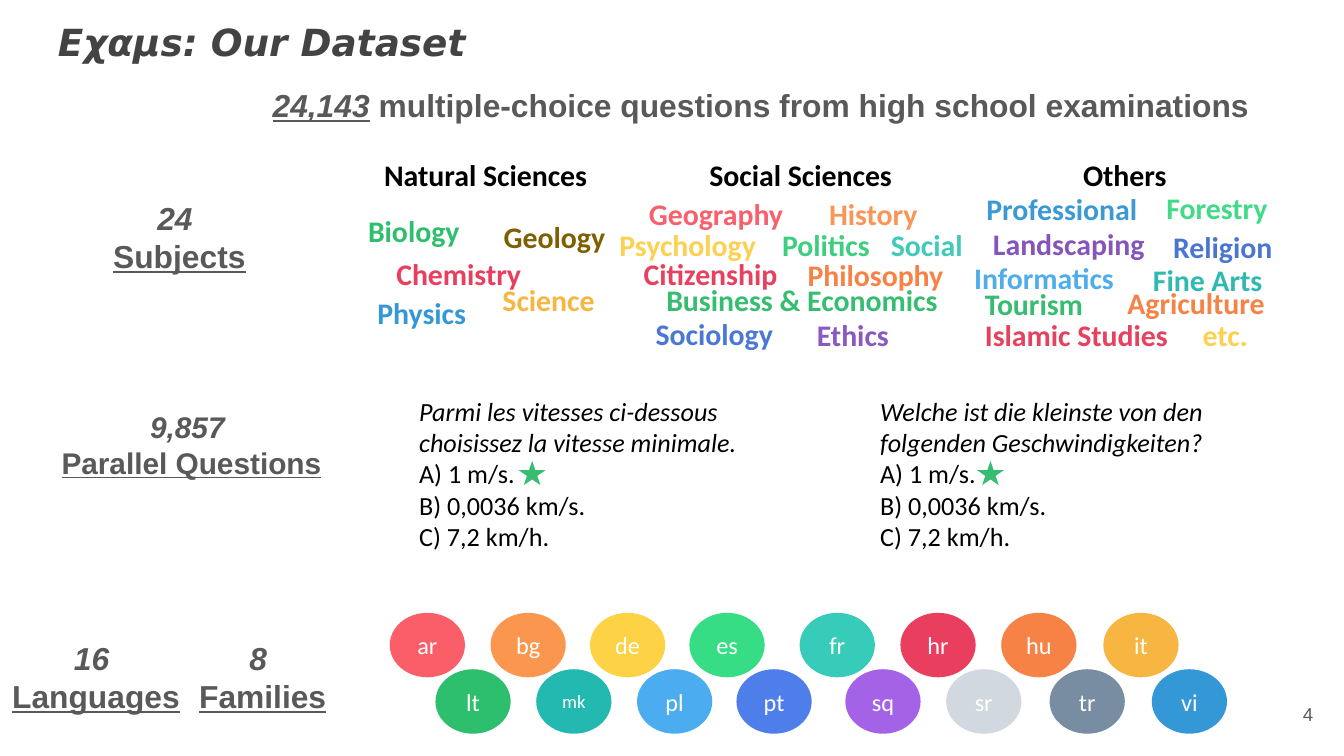
from pptx import Presentation
from pptx.dml.color import RGBColor
from pptx.enum.shapes import MSO_SHAPE
from pptx.enum.text import MSO_ANCHOR, PP_ALIGN
from pptx.util import Pt

SCALE = 9144

BLACK = RGBColor(0x00, 0x00, 0x00)
WHITE = RGBColor(0xFF, 0xFF, 0xFF)
CHARCOAL = RGBColor(0x43, 0x43, 0x43)
GRAY = RGBColor(0x59, 0x59, 0x59)
SILVER = RGBColor(0xD1, 0xD8, 0xE0)
SLATE = RGBColor(0x78, 0x8D, 0xA2)
BROWN = RGBColor(0x7F, 0x60, 0x00)
CRIMSON = RGBColor(0xE9, 0x3E, 0x5D)
ROSE = RGBColor(0xE7, 0x41, 0x5F)
CORAL = RGBColor(0xF8, 0x60, 0x6B)
SALMON = RGBColor(0xFA, 0x5E, 0x68)
PEACH = RGBColor(0xF9, 0x96, 0x56)
APRICOT = RGBColor(0xFB, 0x96, 0x4E)
ORANGE = RGBColor(0xF6, 0x82, 0x46)
AMBER = RGBColor(0xF6, 0xB6, 0x41)
YELLOW = RGBColor(0xFC, 0xD1, 0x52)
GOLD = RGBColor(0xFD, 0xD2, 0x44)
GREEN = RGBColor(0x2D, 0xBE, 0x6E)
EMERALD = RGBColor(0x37, 0xBD, 0x71)
JADE = RGBColor(0x3D, 0xCE, 0x7F)
MINT = RGBColor(0x41, 0xDB, 0x87)
LIME = RGBColor(0x36, 0xDD, 0x84)
TURQUOISE = RGBColor(0x41, 0xCA, 0xBA)
AQUA = RGBColor(0x37, 0xCB, 0xBA)
TEAL = RGBColor(0x2F, 0xB9, 0xB0)
DEEP_TEAL = RGBColor(0x23, 0xB9, 0xB1)
BLUE = RGBColor(0x35, 0x98, 0xD6)
STEEL = RGBColor(0x3B, 0x99, 0xD4)
SKY = RGBColor(0x50, 0xAD, 0xEC)
AZURE = RGBColor(0x4B, 0xAC, 0xEF)
ROYAL = RGBColor(0x4E, 0x7E, 0xE9)
COBALT = RGBColor(0x4B, 0x78, 0xD6)
INDIGO = RGBColor(0x4A, 0x76, 0xD2)
VIOLET = RGBColor(0x89, 0x58, 0xC0)
PURPLE = RGBColor(0x85, 0x55, 0xBA)
ORCHID = RGBColor(0xA4, 0x63, 0xE7)

SUBJECTS = [
    ("Natural Sciences", 276, 112, 187, BLACK),
    ("Social Sciences", 518, 112, 170, BLACK),
    ("Others", 796, 112, 88, BLACK),
    ("Geology", 365, 158, 103, BROWN),
    ("Chemistry", 285, 185, 122, CRIMSON),
    ("Physics", 271, 214, 93, BLUE),
    ("Biology", 264, 153, 95, GREEN),
    ("Science", 364, 205, 95, AMBER),
    ("Politics", 572, 164, 92, JADE),
    ("Ethics", 598, 231, 79, VIOLET),
    ("Citizenship", 469, 185, 130, ROSE),
    ("Geography", 473, 141, 130, CORAL),
    ("History", 607, 141, 92, PEACH),
    ("Philosophy", 591, 186, 131, ORANGE),
    ("Psychology", 451, 164, 132, YELLOW),
    ("Social", 653, 164, 79, TURQUOISE),
    ("Sociology", 478, 230, 116, COBALT),
    ("Business & Economics", 486, 205, 243, EMERALD),
    ("Professional", 724, 137, 144, STEEL),
    ("Forestry", 858, 136, 103, MINT),
    ("Landscaping", 729, 163, 144, PURPLE),
    ("Agriculture", 829, 207, 133, ORANGE),
    ("Tourism", 723, 208, 100, EMERALD),
    ("Fine Arts", 848, 190, 110, TEAL),
    ("Informatics", 715, 188, 135, SKY),
    ("Islamic Studies", 723, 231, 170, ROSE),
    ("Religion", 863, 165, 101, INDIGO),
    (" etc.", 880, 231, 62, YELLOW),
]

LANGUAGE_ROWS = {
    456: [("ar", 290, SALMON), ("bg", 365, APRICOT), ("de", 439, GOLD), ("es", 513, LIME),
          ("fr", 595, AQUA), ("hr", 670, CRIMSON), ("hu", 745, ORANGE), ("it", 821, AMBER)],
    498: [("lt", 324, GREEN), ("mk", 399, DEEP_TEAL), ("pl", 474, AZURE), ("pt", 548, ROYAL),
          ("sq", 629, ORCHID), ("sr", 704, SILVER), ("tr", 781, SLATE), ("vi", 857, BLUE)],
}

STATISTICS = [
    ("24 ", "Subjects", (11, 138, 245, 79), 17, 10),
    ("9,857 ", "Parallel Questions", (20, 294, 245, 90), 16, 10),
    ("16 ", "Languages", (-4, 470, 151, 55), 17, 5),
    ("8 ", "Families", (120, 470, 151, 55), 17, 5),
]

ANSWERS = ["A) 1 m/s.", "B) 0,0036 km/s.", "C) 7,2 km/h."]
QUESTIONS = [
    ("Parmi les vitesses ci-dessous \vchoisissez la vitesse minimale.", 302, 386),
    ("Welche ist die kleinste von den \vfolgenden Geschwindigkeiten?", 645, 727),
]


class SlideBuilder:
    heading_font = "DejaVu Sans"
    label_font = "Arial"
    body_font = "Calibri"

    def __init__(self, slide):
        self.slide = slide

    def box(self, left, top, width, height):
        return [value * SCALE for value in (left, top, width, height)]

    def format(self, paragraph, font, size, color, bold=False, italic=False, align=PP_ALIGN.LEFT):
        paragraph.alignment = align
        for run in paragraph.runs:
            run.font.name = font
            run.font.size = Pt(size)
            run.font.color.rgb = color
            run.font.bold = bold
            run.font.italic = italic

    def frame(self, shape, inset, anchor=MSO_ANCHOR.TOP):
        frame = shape.text_frame
        frame.word_wrap = True
        frame.vertical_anchor = anchor
        frame.margin_left = frame.margin_right = 10 * SCALE
        frame.margin_top = frame.margin_bottom = inset * SCALE
        return frame

    def title(self, text, area):
        shape = self.slide.shapes.title
        shape.left, shape.top, shape.width, shape.height = self.box(*area)
        frame = self.frame(shape, 10)
        frame.text = text
        self.format(frame.paragraphs[0], self.heading_font, 20, CHARCOAL, True, True)

    def text(self, text, area, inset=5, anchor=MSO_ANCHOR.TOP):
        shape = self.slide.shapes.add_textbox(*self.box(*area))
        frame = self.frame(shape, inset, anchor)
        frame.text = text
        return frame.paragraphs

    def shape(self, kind, area, fill):
        shape = self.slide.shapes.add_shape(kind, *self.box(*area))
        shape.shadow.inherit = False
        shape.fill.solid()
        shape.fill.fore_color.rgb = fill
        shape.line.fill.background()
        return shape

    def subject(self, name, left, top, width, color):
        area = (left, top, width, 34)
        if name == "Geography":
            shape = self.shape(MSO_SHAPE.RECTANGLE, area, WHITE)
            frame = self.frame(shape, 5)
            frame.text = name
            paragraph = frame.paragraphs[0]
        else:
            paragraph = self.text(name, area)[0]
        self.format(paragraph, self.body_font, 16, color, bold=True)

    def language(self, code, left, top, color):
        shape = self.shape(MSO_SHAPE.OVAL, (left, top, 56, 48), color)
        frame = self.frame(shape, 5, MSO_ANCHOR.MIDDLE)
        frame.word_wrap = False
        frame.text = code
        size = 10 if code == "mk" else 13
        self.format(frame.paragraphs[0], self.body_font, size, WHITE, align=PP_ALIGN.CENTER)

    def statistic(self, number, caption, area, size, inset):
        paragraphs = self.text(f"{number}\n{caption}", area, inset)
        for paragraph, italic in zip(paragraphs, (True, False)):
            self.format(paragraph, self.label_font, size, GRAY, True, italic, PP_ALIGN.CENTER)
        paragraphs[1].runs[0].font.underline = True

    def question(self, text, left, star_left):
        paragraphs = self.text("\n".join([text] + ANSWERS), (left, 289, 339, 154))
        for index, paragraph in enumerate(paragraphs):
            self.format(paragraph, self.body_font, 14, BLACK, italic=index == 0)
        self.shape(MSO_SHAPE.STAR_5_POINT, (star_left, 343, 20, 18), EMERALD)

    def summary(self, number, text, area):
        paragraph = self.text(number, area, 10)[0]
        paragraph.add_run().text = text
        self.format(paragraph, self.label_font, 17, GRAY, bold=True, align=PP_ALIGN.CENTER)
        paragraph.runs[0].font.italic = True
        paragraph.runs[0].font.underline = True

    def page_number(self, number, area):
        paragraph = self.text(number, area, 10, MSO_ANCHOR.MIDDLE)[0]
        self.format(paragraph, self.label_font, 10, GRAY, align=PP_ALIGN.RIGHT)


def main():
    presentation = Presentation()
    presentation.slide_width = 1000 * SCALE
    presentation.slide_height = presentation.slide_width * 9 // 16
    builder = SlideBuilder(presentation.slides.add_slide(presentation.slide_layouts[5]))

    builder.title("Eχαμs: Our Dataset", (33, 4, 894, 63))
    for subject in SUBJECTS:
        builder.subject(*subject)
    builder.page_number("4", (927, 510, 60, 43))
    for top, languages in LANGUAGE_ROWS.items():
        for code, left, color in languages:
            builder.language(code, left, top, color)
    for statistic in STATISTICS:
        builder.statistic(*statistic)
    for question in QUESTIONS:
        builder.question(*question)
    builder.summary("24,143", " multiple-choice questions from high school examinations",
                    (163, 54, 807, 40))
    presentation.save("out.pptx")


if __name__ == "__main__":
    main()
